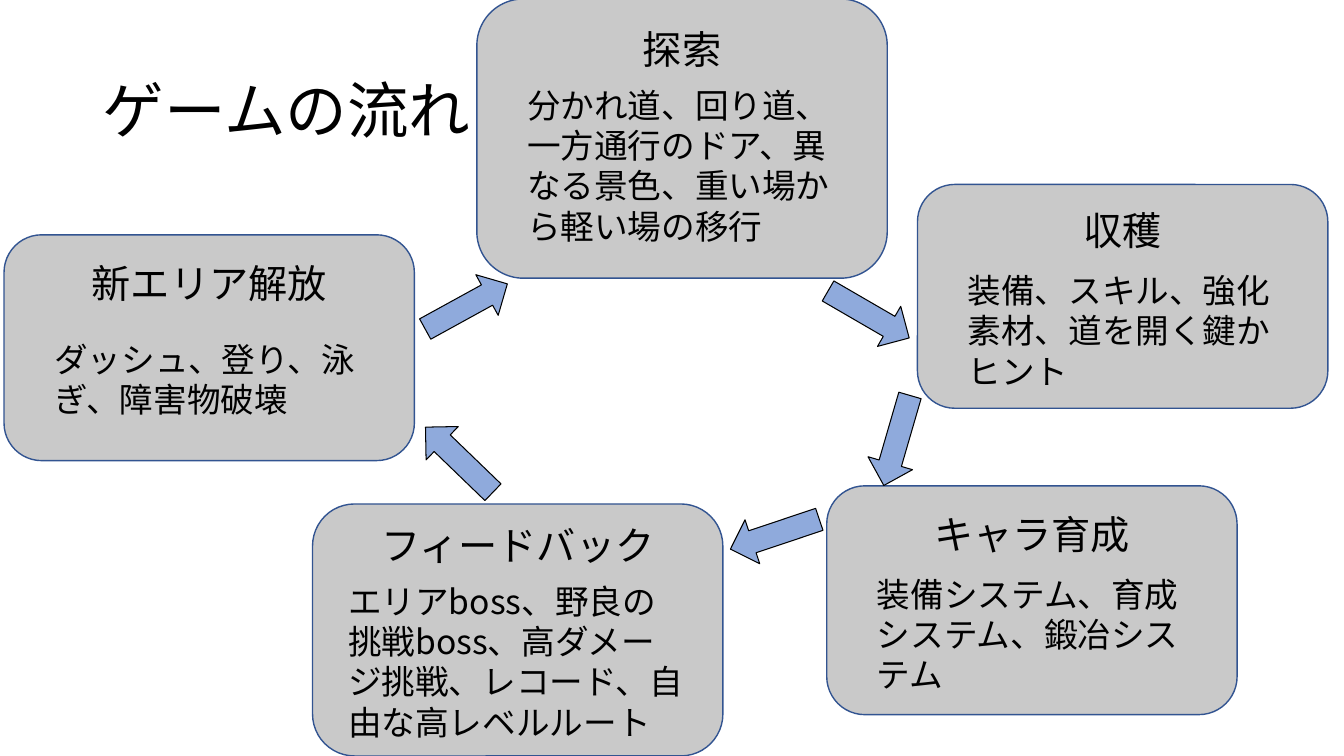
from lxml.etree import SubElement
from pptx import Presentation
from pptx.dml.color import RGBColor
from pptx.enum.shapes import MSO_SHAPE
from pptx.enum.text import MSO_ANCHOR, MSO_AUTO_SIZE, PP_ALIGN
from pptx.oxml.ns import qn
from pptx.util import Pt

PX = 9144  # 100 px to the inch
SIZE = (1333, 750)
TITLE = ("ゲームの流れ", (92, 40, 1150, 145))

# head, body, box (left, top, height), head (top, width), body (top, width, lines)
STEPS = [
    ("新エリア解放", "ダッシュ、登り、泳ぎ、障害物破壊",
     (4, 233, 224), (252, 281), (331, 327, 2)),
    ("探索", "分かれ道、回り道、一方通行のドア、異なる景色、重い場から軽い場の移行",
     (473, -1, 277), (20, 218), (79, 327, 4)),
    ("収穫", "装備、スキル、強化素材、道を開く鍵かヒント",
     (910, 183, 222), (200, 218), (263, 327, 3)),
    ("キャラ育成", "装備システム、育成システム、鍛冶システム",
     (820, 482, 227), (501, 218), (564, 327, 3)),
    ("フィードバック", "エリアboss、野良の挑戦boss、高ダメージ挑戦、レコード、自由な高レベルルート",
     (310, 500, 250), (512, 333), (571, 356, 4)),
]
# left, top, turn in degrees
ARROWS = [(416, 281, 331.2), (815, 289, 30.1), (843, 414, 106.2),
          (722, 507, 161.5), (409, 433, 224)]
BOX_W, HEAD_H, ARROW = 407, 57, (93, 46)
LINE_H, PAD = 40.5, 10

THEME = {
    "font": "Noto Sans CJK SC", "ink": "000000",
    "title": 44, "head": 28, "body": 24,
    "box": ("C9C9C9", "325491", 1), "arrow": ("8FAADC", "000000", 0.75),
}
FRAME = {
    "title": {"vertical_anchor": MSO_ANCHOR.MIDDLE},
    "head": {"auto_size": MSO_AUTO_SIZE.SHAPE_TO_FIT_TEXT},
    "body": {"auto_size": MSO_AUTO_SIZE.SHAPE_TO_FIT_TEXT},
}
PARA = {
    "title": {"line_spacing": 0.9},
    "head": {"alignment": PP_ALIGN.CENTER},
    "body": {"alignment": PP_ALIGN.LEFT},
}


def apply(item, values):
    for key, value in values.items():
        setattr(item, key, value)


def emu(area):
    return [round(side * PX) for side in area]


def add_block(slide, kind, style, area, turn=0):
    fill, edge, width = THEME[style]
    block = slide.shapes.add_shape(kind, *emu(area))
    block.shadow.inherit = False
    block.rotation = turn
    block.fill.solid()
    block.fill.fore_color.rgb = RGBColor.from_string(fill)
    block.line.color.rgb = RGBColor.from_string(edge)
    block.line.width = Pt(width)


def add_text(slide, text, role, area):
    frame = slide.shapes.add_textbox(*emu(area)).text_frame
    apply(frame, {"word_wrap": True, **FRAME[role]})
    para = frame.paragraphs[0]
    apply(para, PARA[role])
    run = para.add_run()
    run.text = text
    apply(run.font, {"name": THEME["font"], "size": Pt(THEME[role])})
    run.font.color.rgb = RGBColor.from_string(THEME["ink"])
    SubElement(run.font._element, qn("a:ea"), typeface=THEME["font"])


def add_step(slide, head, body, box, head_at, body_at):
    """Draw one box with its head and body centred across it."""
    left, top, height = box
    mid = left + BOX_W / 2
    add_block(slide, MSO_SHAPE.ROUNDED_RECTANGLE, "box",
              (left, top, BOX_W, height))
    top, width = head_at
    add_text(slide, head, "head", (mid - width / 2, top, width, HEAD_H))
    top, width, lines = body_at
    add_text(slide, body, "body",
             (mid - width / 2, top, width, PAD + LINE_H * lines))


def main():
    deck = Presentation()
    deck.slide_width, deck.slide_height = emu(SIZE)
    slide = deck.slides.add_slide(deck.slide_layouts[6])
    text, area = TITLE
    add_text(slide, text, "title", area)
    for step in STEPS:
        add_step(slide, *step)
    for left, top, turn in ARROWS:
        add_block(slide, MSO_SHAPE.RIGHT_ARROW, "arrow",
                  (left, top, *ARROW), turn)
    deck.save("out.pptx")


if __name__ == "__main__":
    main()
